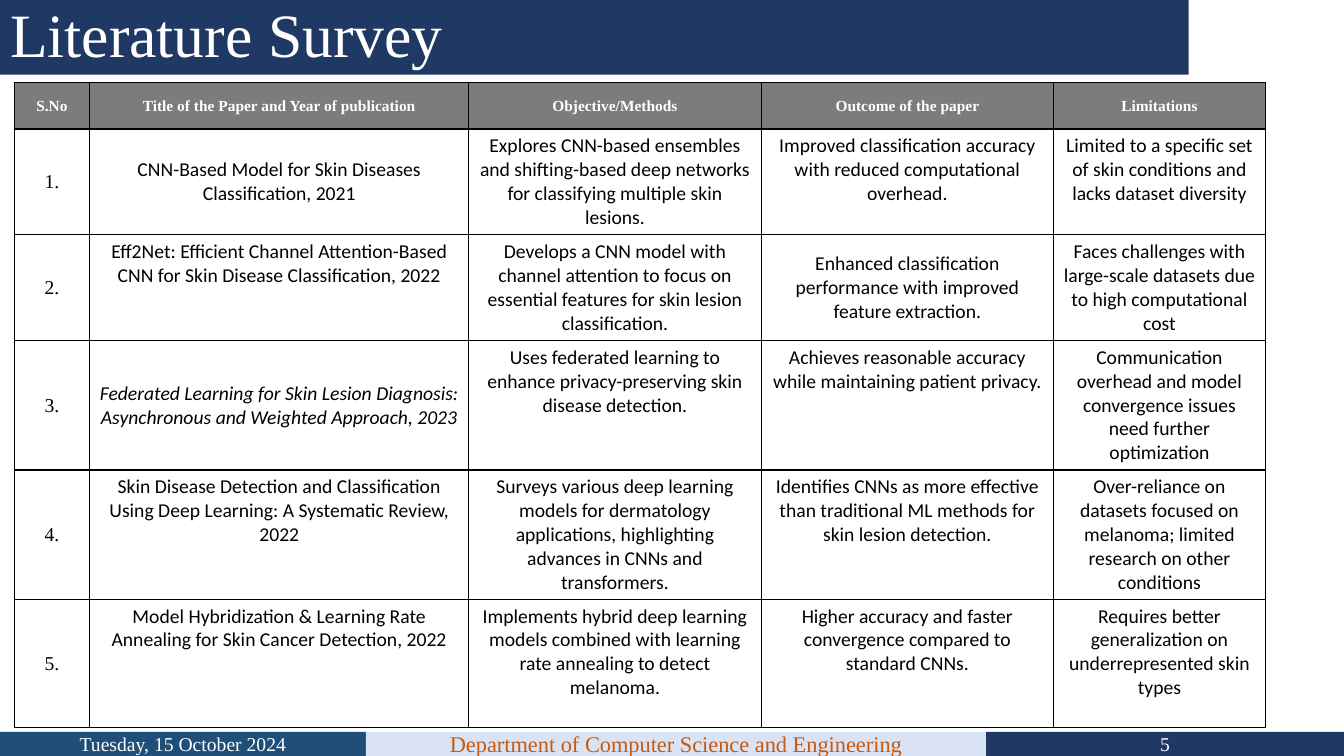
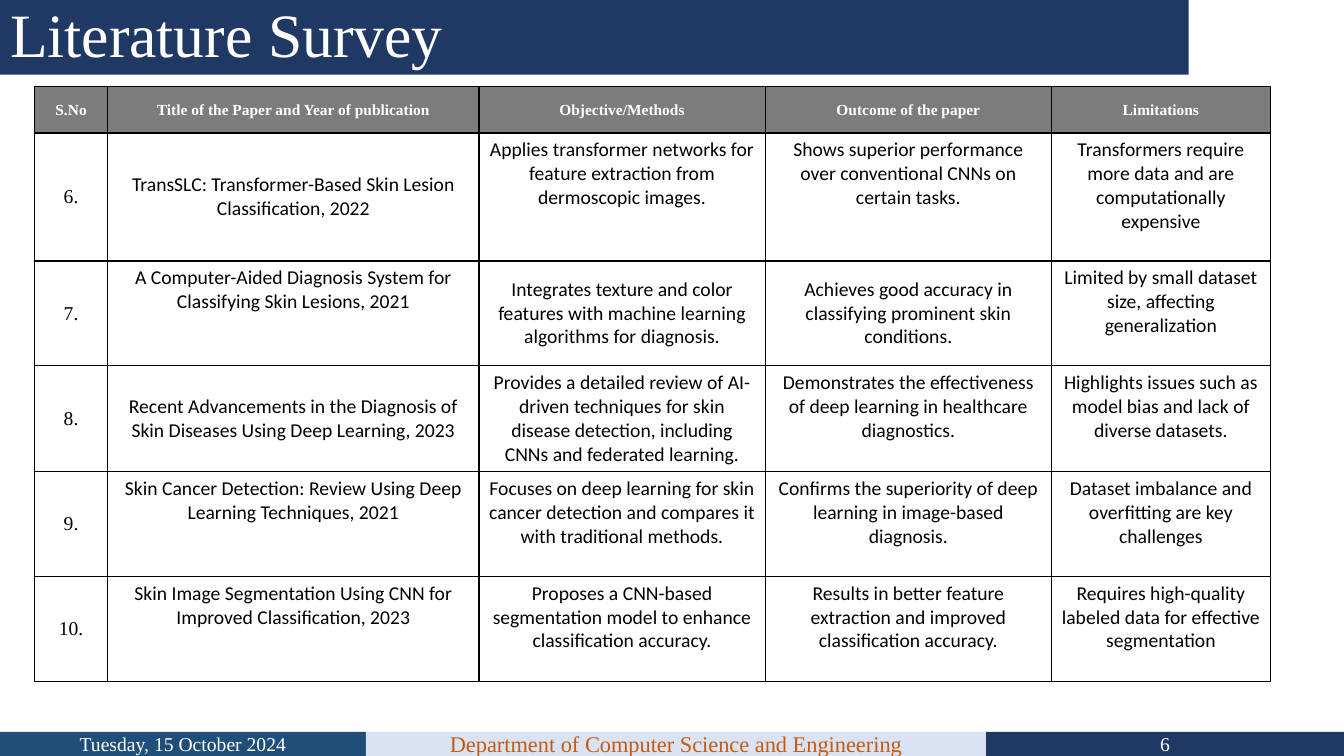
from dataclasses import dataclass

from lxml.etree import SubElement
from pptx import Presentation
from pptx.dml.color import RGBColor
from pptx.enum.shapes import MSO_SHAPE
from pptx.enum.text import MSO_ANCHOR, MSO_AUTO_SIZE, PP_ALIGN
from pptx.oxml.ns import qn
from pptx.util import Inches, Pt

GRID_COLUMNS, GRID_ROWS = 1333, 750  # one grid unit is 0.01 inch
TITLE_ONLY = 5


@dataclass(frozen=True)
class Theme:
    navy: str = "203864"
    steel: str = "1F4E79"
    pale: str = "DAE3F3"
    rust: str = "C55A11"
    header: str = "7C7C7C"
    white: str = "FFFFFF"
    black: str = "000000"
    serif: str = "Times New Roman"
    sans: str = "Calibri"
    title_size: int = 44
    department_size: int = 16
    body_size: int = 14
    header_size: int = 11
    border_width: int = 1


@dataclass(frozen=True)
class Paper:
    title: str
    method: str
    outcome: str
    limitation: str
    middle: tuple = ()  # table columns whose text is centred vertically
    italic: bool = False


@dataclass(frozen=True)
class Survey:
    number: int
    first_paper: int
    left: int
    top: int
    columns: tuple
    rows: tuple
    papers: tuple


def units(count):
    return Inches(count / 100)


def write_text(frame, text, *, size, font, color, bold=False, italic=False,
               align=PP_ALIGN.CENTER, spacing=None):
    frame.word_wrap = True
    para = frame.paragraphs[0]
    para.alignment = align
    if spacing:
        para.line_spacing = spacing
    span = para.add_run()
    span.text = text
    span.font.size = Pt(size)
    span.font.name = font
    span.font.bold = bold
    span.font.italic = italic
    span.font.color.rgb = RGBColor.from_string(color)


def draw_borders(cell, color, width):
    """Line all four sides; the lines must come before the cell's fill."""
    properties = cell._tc.get_or_add_tcPr()
    for side in ("a:lnL", "a:lnR", "a:lnT", "a:lnB"):
        line = SubElement(properties, qn(side), w=str(Pt(width)))
        fill = SubElement(line, qn("a:solidFill"))
        SubElement(fill, qn("a:srgbClr"), val=color)


class SurveyDeck:
    HEADINGS = ("S.No", "Title of the Paper and Year of publication",
                "Objective/Methods", "Outcome of the paper", "Limitations")

    def __init__(self, theme):
        self.theme = theme
        self.deck = Presentation()
        self.deck.slide_width = units(GRID_COLUMNS)
        self.deck.slide_height = units(GRID_ROWS)
        self.page = None

    def add_page(self, title, number):
        layout = self.deck.slide_layouts[TITLE_ONLY]
        self.page = self.deck.slides.add_slide(layout)
        self.add_footer(number)
        self.set_title(title)

    def set_title(self, text):
        theme = self.theme
        box = self.page.shapes.title
        box.left, box.top = units(0), units(0)
        box.width, box.height = units(1179), units(74)
        box.fill.solid()
        box.fill.fore_color.rgb = RGBColor.from_string(theme.navy)
        box.text_frame.auto_size = MSO_AUTO_SIZE.NONE
        box.text_frame.vertical_anchor = MSO_ANCHOR.MIDDLE
        write_text(box.text_frame, text, size=theme.title_size, font=theme.serif,
                   color=theme.white, align=PP_ALIGN.LEFT, spacing=0.9)

    def add_footer(self, number):
        theme = self.theme
        bands = (
            (363, theme.steel, "Tuesday, 15 October 2024", theme.body_size, theme.white),
            (615, theme.pale, "Department of Computer Science and Engineering",
             theme.department_size, theme.rust),
            (355, theme.navy, str(number), theme.body_size, theme.white),
        )
        left = 0
        for width, fill, text, size, color in bands:
            self.add_band(left, width, fill, text, size, color)
            left += width

    def add_band(self, left, width, fill, text, size, color):
        height = 24
        box = self.page.shapes.add_shape(
            MSO_SHAPE.RECTANGLE, units(left), units(GRID_ROWS - height),
            units(width), units(height))
        box.shadow.inherit = False
        box.fill.solid()
        box.fill.fore_color.rgb = RGBColor.from_string(fill)
        box.line.fill.background()
        box.text_frame.vertical_anchor = MSO_ANCHOR.MIDDLE
        write_text(box.text_frame, text, size=size, font=self.theme.serif, color=color)

    def add_survey_table(self, survey):
        frame = self.page.shapes.add_table(
            len(survey.rows), len(survey.columns), units(survey.left),
            units(survey.top), units(sum(survey.columns)), units(sum(survey.rows)))
        table = frame.table
        table.first_row = table.horz_banding = False
        for column, width in zip(table.columns, survey.columns):
            column.width = units(width)
        for row, height in zip(table.rows, survey.rows):
            row.height = units(height)
        for index, heading in enumerate(self.HEADINGS):
            self.fill_header_cell(table.cell(0, index), heading)
        for row, paper in enumerate(survey.papers, start=1):
            label = f"{survey.first_paper + row - 1}."
            texts = (label, paper.title, paper.method, paper.outcome, paper.limitation)
            for index, text in enumerate(texts):
                self.fill_body_cell(table.cell(row, index), text, index, paper)

    def prepare_cell(self, cell, centred):
        cell.margin_left = cell.margin_right = units(9)
        cell.vertical_anchor = MSO_ANCHOR.MIDDLE if centred else MSO_ANCHOR.TOP
        draw_borders(cell, self.theme.black, self.theme.border_width)

    def fill_header_cell(self, cell, text):
        theme = self.theme
        self.prepare_cell(cell, centred=True)
        cell.fill.solid()
        cell.fill.fore_color.rgb = RGBColor.from_string(theme.header)
        write_text(cell.text_frame, text, size=theme.header_size, font=theme.serif,
                   color=theme.white, bold=True)

    def fill_body_cell(self, cell, text, index, paper):
        theme = self.theme
        self.prepare_cell(cell, centred=index == 0 or index in paper.middle)
        cell.fill.background()
        write_text(cell.text_frame, text, size=theme.body_size,
                   font=theme.sans if index else theme.serif, color=theme.black,
                   italic=paper.italic and index == 1)


SURVEYS = (
    Survey(
        number=5, first_paper=1, left=14, top=82,
        columns=(75, 376, 290, 290, 210), rows=(46, 105, 105, 128, 128, 127),
        papers=(
            Paper("CNN-Based Model for Skin Diseases Classification, 2021",
                  "Explores CNN-based ensembles and shifting-based deep networks "
                  "for classifying multiple skin lesions.",
                  "Improved classification accuracy with reduced computational overhead.",
                  "Limited to a specific set of skin conditions and lacks dataset diversity",
                  middle=(1,)),
            Paper("Eff2Net: Efficient Channel Attention-Based CNN for Skin Disease "
                  "Classification, 2022",
                  "Develops a CNN model with channel attention to focus on essential "
                  "features for skin lesion classification.",
                  "Enhanced classification performance with improved feature extraction.",
                  "Faces challenges with large-scale datasets due to high computational cost",
                  middle=(2, 3)),
            Paper("Federated Learning for Skin Lesion Diagnosis: Asynchronous and "
                  "Weighted Approach, 2023",
                  "Uses federated learning to enhance privacy-preserving skin disease "
                  "detection.",
                  "Achieves reasonable accuracy while maintaining patient privacy.",
                  "Communication overhead and model convergence issues need further "
                  "optimization",
                  middle=(1,), italic=True),
            Paper("Skin Disease Detection and Classification Using Deep Learning: "
                  "A Systematic Review, 2022",
                  "Surveys various deep learning models for dermatology applications, "
                  "highlighting advances in CNNs and transformers.",
                  "Identifies CNNs as more effective than traditional ML methods for "
                  "skin lesion detection.",
                  "Over-reliance on datasets focused on melanoma; limited research on "
                  "other conditions"),
            Paper("Model Hybridization & Learning Rate Annealing for Skin Cancer "
                  "Detection, 2022",
                  "Implements hybrid deep learning models combined with learning rate "
                  "annealing to detect melanoma.",
                  "Higher accuracy and faster convergence compared to standard CNNs.",
                  "Requires better generalization on underrepresented skin types"),
        )),
    Survey(
        number=6, first_paper=6, left=34, top=86,
        columns=(73, 368, 284, 284, 217), rows=(46, 127, 104, 105, 104, 104),
        papers=(
            Paper("TransSLC: Transformer-Based Skin Lesion Classification, 2022",
                  "Applies transformer networks for feature extraction from dermoscopic "
                  "images.",
                  "Shows superior performance over conventional CNNs on certain tasks.",
                  "Transformers require more data and are computationally expensive",
                  middle=(1,)),
            Paper("A Computer-Aided Diagnosis System for Classifying Skin Lesions, 2021",
                  "Integrates texture and color features with machine learning "
                  "algorithms for diagnosis.",
                  "Achieves good accuracy in classifying prominent skin conditions.",
                  "Limited by small dataset size, affecting generalization",
                  middle=(2, 3)),
            Paper("Recent Advancements in the Diagnosis of Skin Diseases Using Deep "
                  "Learning, 2023",
                  "Provides a detailed review of AI-driven techniques for skin disease "
                  "detection, including CNNs and federated learning.",
                  "Demonstrates the effectiveness of deep learning in healthcare "
                  "diagnostics.",
                  "Highlights issues such as model bias and lack of diverse datasets.",
                  middle=(1,)),
            Paper("Skin Cancer Detection: Review Using Deep Learning Techniques, 2021",
                  "Focuses on deep learning for skin cancer detection and compares it "
                  "with traditional methods.",
                  "Confirms the superiority of deep learning in image-based diagnosis.",
                  "Dataset imbalance and overfitting are key challenges"),
            Paper("Skin Image Segmentation Using CNN for Improved Classification, 2023",
                  "Proposes a CNN-based segmentation model to enhance classification "
                  "accuracy.",
                  "Results in better feature extraction and improved classification "
                  "accuracy.",
                  "Requires high-quality labeled data for effective segmentation"),
        )),
)


def main():
    slides = SurveyDeck(Theme())
    for survey in SURVEYS:
        slides.add_page("Literature Survey", survey.number)
        slides.add_survey_table(survey)
    slides.deck.save("out.pptx")


if __name__ == "__main__":
    main()
